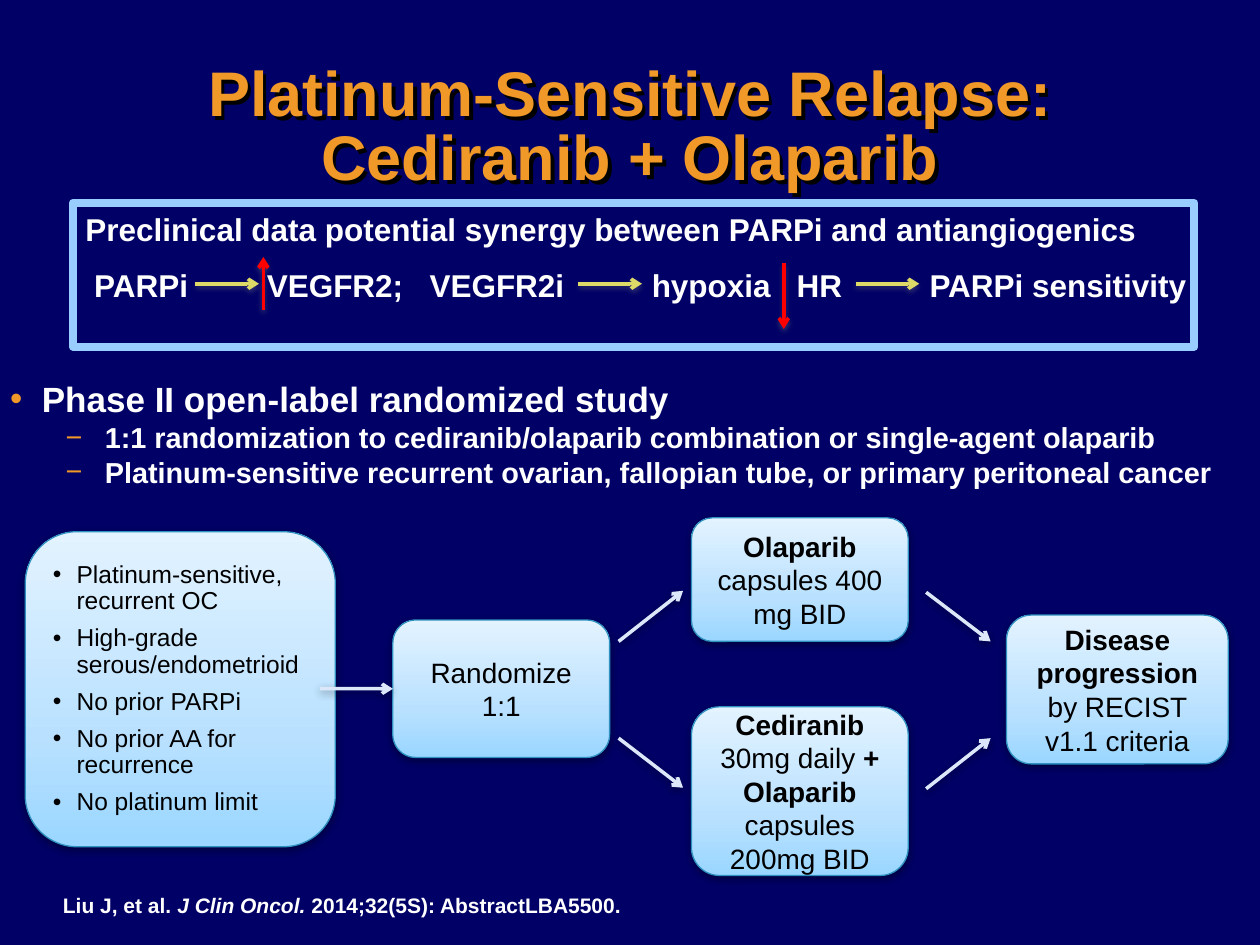
from lxml.etree import SubElement
from pptx import Presentation
from pptx.dml.color import RGBColor
from pptx.enum.shapes import MSO_CONNECTOR as Link, MSO_SHAPE as Preset
from pptx.enum.text import MSO_ANCHOR as Anchor, MSO_AUTO_SIZE as AutoSize, PP_ALIGN as Align
from pptx.oxml import parse_xml
from pptx.oxml.ns import nsdecls, qn
from pptx.util import Cm, Pt

NAVY = RGBColor(0x00, 0x00, 0x66)
ORANGE = RGBColor(0xF0, 0x98, 0x28)
WHITE = RGBColor(0xFF, 0xFF, 0xFF)
BLACK = RGBColor(0x00, 0x00, 0x00)
GREY = RGBColor(0x80, 0x80, 0x80)
YELLOW = RGBColor(0xDD, 0xDA, 0x68)
RED = RGBColor(0xFF, 0x00, 0x00)
PALE = RGBColor(0xDC, 0xE8, 0xF9)
SKY = RGBColor(0x99, 0xCC, 0xFF)
EDGE = RGBColor(0x2E, 0x91, 0xC0)
BOX_STOPS = (
    (0, RGBColor(0x9A, 0xD6, 0xFF)),
    (35, RGBColor(0xB9, 0xE1, 0xFF)),
    (100, RGBColor(0xE3, 0xF3, 0xFF)),
)


def shadow(color, blur, distance, angle=90, alpha=38):
    return parse_xml(
        f'<a:effectLst {nsdecls("a")}><a:outerShdw blurRad="{Pt(blur)}" dist="{Pt(distance)}" '
        f'dir="{angle * 60000}" algn="ctr" rotWithShape="0"><a:srgbClr val="{color}">'
        f'<a:alpha val="{alpha * 1000}"/></a:srgbClr></a:outerShdw></a:effectLst>')


def gradient(stops):
    marks = "".join(f'<a:gs pos="{pos * 1000}"><a:srgbClr val="{color}"/></a:gs>'
                    for pos, color in stops)
    return parse_xml(f'<a:gradFill {nsdecls("a")} rotWithShape="1"><a:gsLst>{marks}</a:gsLst>'
                     '<a:lin ang="16200000" scaled="0"/></a:gradFill>')


class Painter:
    """Holds the style and the current slide."""
    font = "Arial"

    def __init__(self, page):
        self.page = page
        page.background.fill.solid()
        page.background.fill.fore_color.rgb = NAVY

    def place(self, shape, left, top, width, height):
        shape.left, shape.top = Cm(left), Cm(top)
        shape.width, shape.height = Cm(width), Cm(height)

    def span(self, para, text, size, color, bold=False, italic=False):
        span = para.add_run()
        span.text = text
        span.font.name, span.font.size = self.font, Pt(size)
        span.font.bold, span.font.italic = bold, italic
        span.font.color.rgb = color

    def paragraph(self, frame, first):
        return frame.paragraphs[0] if first else frame.add_paragraph()

    def bullet(self, para, mark, margin, hanging, color):
        props = para._p.get_or_add_pPr()
        props.set("marL", str(Cm(margin)))
        props.set("indent", str(-Cm(hanging)))
        SubElement(SubElement(props, qn("a:buClr")), qn("a:srgbClr"), val=str(color))
        SubElement(props, qn("a:buFont"), typeface=self.font)
        SubElement(props, qn("a:buChar"), char=mark)

    def tab_stops(self, para, stops):
        tabs = SubElement(para._p.get_or_add_pPr(), qn("a:tabLst"))
        for stop in stops:
            SubElement(tabs, qn("a:tab"), pos=str(Cm(stop)), algn="l")

    def title(self, lines, *area):
        shape = self.page.shapes.title
        self.place(shape, *area)
        shape._element.spPr.append(shadow(BLACK, 0, 3, angle=45, alpha=100))
        frame = shape.text_frame
        frame.auto_size, frame.vertical_anchor = AutoSize.NONE, Anchor.MIDDLE
        para = frame.paragraphs[0]
        para.alignment, para.line_spacing = Align.CENTER, 0.85
        for number, line in enumerate(lines):
            if number:
                para.add_line_break()
            self.span(para, line, 36, ORANGE, bold=True)

    def body(self, items, *area):
        shape = self.page.placeholders[1]
        self.place(shape, *area)
        frame = shape.text_frame
        frame.auto_size = AutoSize.NONE
        styles = (("•", 0.79, 0.64, 20), ("−", 2.06, 0.79, 16.5))
        for number, (level, text) in enumerate(items):
            mark, margin, hanging, size = styles[level]
            para = self.paragraph(frame, number == 0)
            para.level = level
            para.space_before = Pt(0)
            self.bullet(para, mark, margin, hanging, ORANGE)
            self.span(para, text, size, WHITE, bold=True)

    def text_box(self, *area):
        box = self.page.shapes.add_textbox(*map(Cm, area))
        box.text_frame.word_wrap = True
        return box.text_frame

    def card(self, *area):
        box = self.page.shapes.add_shape(Preset.ROUNDED_RECTANGLE, *map(Cm, area))
        box.line.color.rgb, box.line.width = EDGE, Pt(0.75)
        props = box._element.spPr
        props.find(qn("a:prstGeom")).addnext(gradient(BOX_STOPS))
        props.append(shadow(BLACK, 5, 1.6))
        box.text_frame.word_wrap = True
        box.text_frame.vertical_anchor = Anchor.MIDDLE
        return box

    def step(self, spans, *area):
        box = self.card(*area)
        para = box.text_frame.paragraphs[0]
        para.alignment = Align.CENTER
        for text, bold in spans:
            self.span(para, text, 16, BLACK, bold)
        return box

    def criteria(self, items, *area):
        frame = self.card(*area).text_frame
        for number, text in enumerate(items):
            para = self.paragraph(frame, number == 0)
            para.alignment = Align.LEFT
            para.line_spacing, para.space_after = 0.9, Pt(6)
            self.bullet(para, "•", 0.48, 0.48, BLACK)
            self.span(para, text, 14, BLACK)

    def arrow(self, color, effect, *ends):
        line = self.page.shapes.add_connector(Link.STRAIGHT, *map(Cm, ends))
        line.line.color.rgb, line.line.width = color, Pt(2)
        SubElement(line.line._get_or_add_ln(), qn("a:tailEnd"), type="arrow")
        line._element.spPr.append(effect)
        return line

    def frame(self, *area):
        box = self.page.shapes.add_shape(Preset.RECTANGLE, *map(Cm, area))
        box.shadow.inherit = False
        box.fill.background()
        box.line.color.rgb, box.line.width = SKY, Pt(4.5)


def main():
    deck = Presentation()
    deck.slide_width, deck.slide_height = Cm(25.4), Cm(19.05)
    page = deck.slides.add_slide(deck.slide_layouts[1])
    paint = Painter(page)

    # Title and study outline
    paint.title(("Platinum-Sensitive Relapse:", "Cediranib + Olaparib"), 0.94, 1.02, 23.52, 3.18)
    paint.body((
        (0, "Phase II open-label randomized study"),
        (1, "1:1 randomization to cediranib/olaparib combination or single-agent olaparib"),
        (1, "Platinum-sensitive recurrent ovarian, fallopian tube, or primary peritoneal cancer"),
    ), -0.2, 7.49, 26.04, 5.28)

    # Preclinical rationale, each pathway term on its own tab stop
    rationale = paint.text_box(1.47, 4.11, 22.94, 2.9)
    paint.span(rationale.paragraphs[0], "Preclinical data potential synergy between PARPi and "
               "antiangiogenics", 18, WHITE, bold=True)
    pathway = rationale.add_paragraph()
    pathway.space_before = Pt(10.5)
    paint.tab_stops(pathway, (0.18, 3.66, 6.94, 11.42, 14.34, 17.02))
    for term in ("PARPi", "VEGFR2;", "VEGFR2i", "hypoxia", "HR", "PARPi sensitivity"):
        paint.span(pathway, "\t" + term, 18, WHITE, bold=True)
    for left in (3.94, 11.66, 17.25):
        paint.arrow(YELLOW, shadow(GREY, 3.1, 1.6), left, 5.72, left + 1.28, 5.72)
    for x, start, end in ((5.31, 6.25, 5.18), (15.8, 5.31, 6.63)):
        paint.arrow(RED, shadow(GREY, 3.1, 1.6), x, start, x, end)

    # Trial design
    paint.criteria(("Platinum-sensitive, recurrent OC", "High-grade serous/endometrioid",
                    "No prior PARPi", "No prior AA for recurrence", "No platinum limit"),
                   0.51, 10.72, 6.25, 6.35)
    randomize = paint.step((("Randomize 1:1", False),), 7.92, 12.5, 4.37, 2.77)
    paint.step((("Cediranib ", True), ("30mg daily ", False), ("+ Olaparib ", True),
                ("capsules 200mg BID", False)), 13.94, 14.25, 4.37, 3.4)
    paint.step((("Olaparib", True), (" capsules 400 mg BID", False)), 13.94, 10.44, 4.37, 2.49)
    paint.step((("Disease progression ", True), ("by RECIST v1.1 criteria", False)),
               20.29, 12.4, 4.47, 3)
    entry = paint.arrow(PALE, shadow(BLACK, 5, 1.6), 6.45, 13.88, 7.92, 13.88)
    entry.end_connect(randomize, 1)
    for left, start, end in ((12.47, 12.93, 11.91), (12.47, 14.88, 15.88),
                             (18.67, 15.9, 14.88), (18.67, 11.94, 12.93)):
        paint.arrow(PALE, shadow(BLACK, 5, 1.6), left, start, left + 1.3, end)

    # Citation
    citation = paint.text_box(1.02, 17.86, 12.12, 0.76).paragraphs[0]
    for text, italic in (("Liu J, et al. ", False), ("J Clin Oncol. ", True),
                         ("2014;32(5S): AbstractLBA5500.", False)):
        paint.span(citation, text, 12, WHITE, bold=True, italic=italic)

    # Border around the rationale
    paint.frame(1.47, 4.09, 22.61, 2.9)
    deck.save("out.pptx")


if __name__ == "__main__":
    main()
